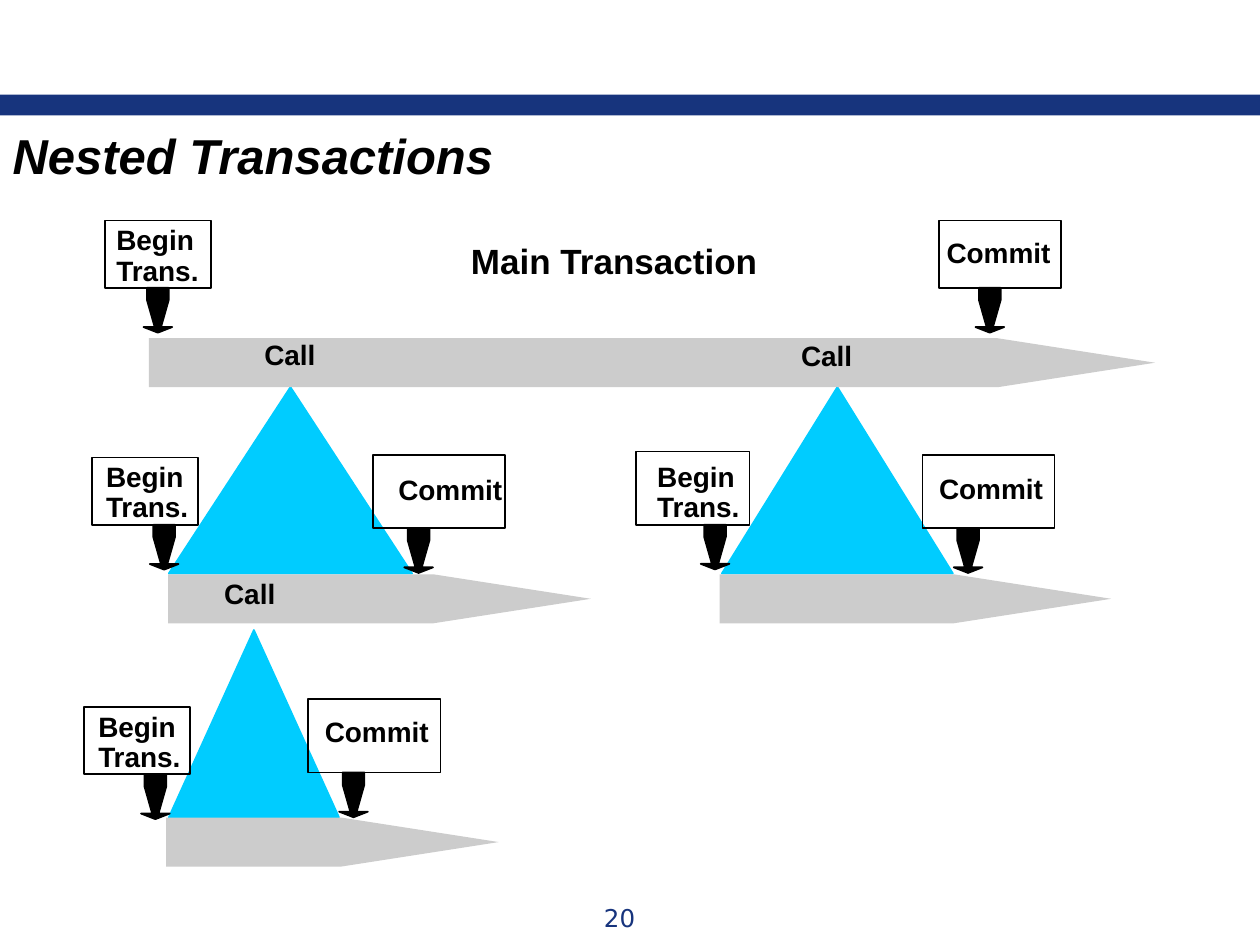
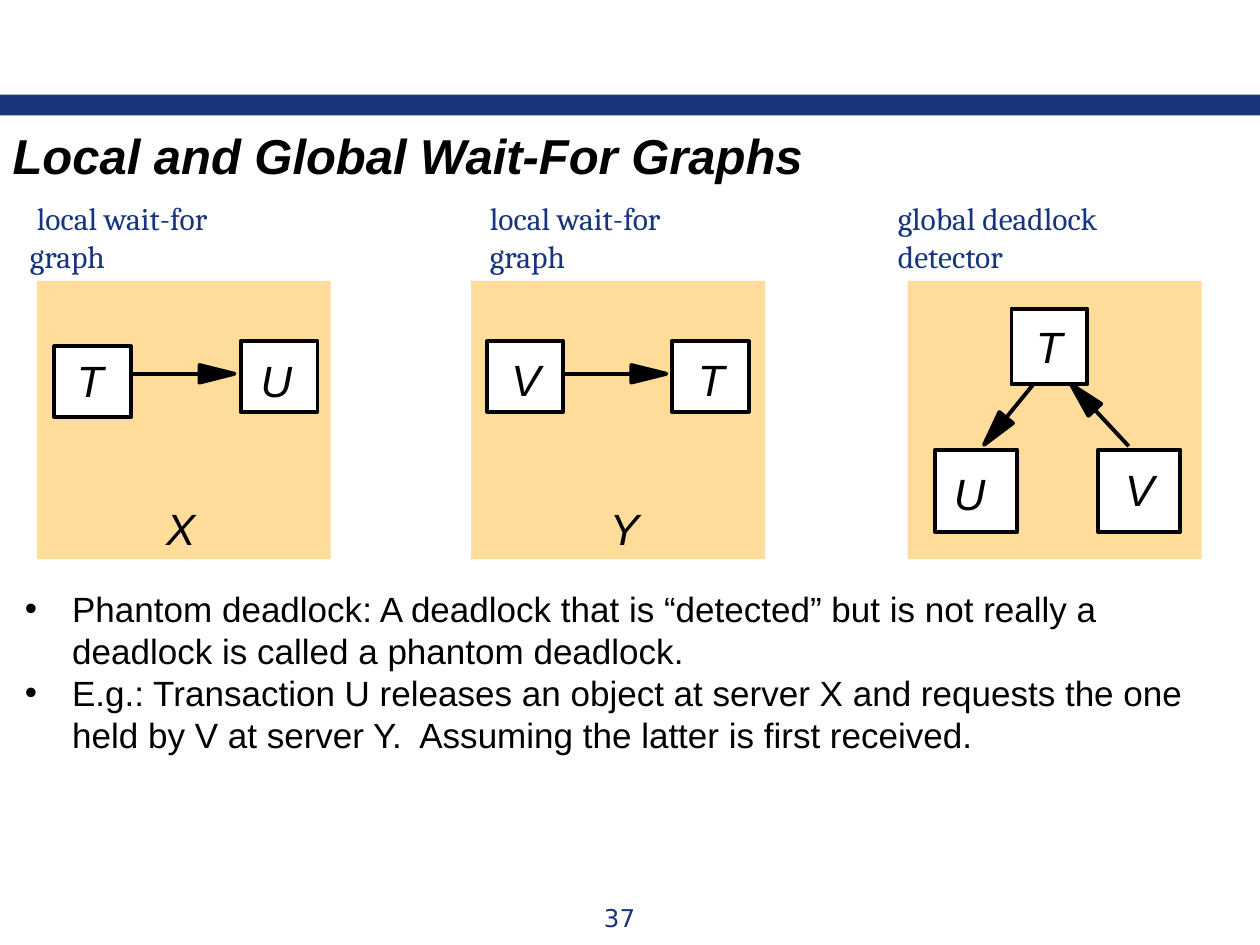
import math
from lxml import etree
from pptx import Presentation
from pptx.dml.color import RGBColor
from pptx.enum.shapes import MSO_CONNECTOR, MSO_SHAPE
from pptx.enum.text import MSO_ANCHOR, MSO_AUTO_SIZE, PP_ALIGN
from pptx.oxml.ns import qn
from pptx.util import Pt

RECTANGLE, TRIANGLE, PENTAGON = MSO_SHAPE.RECTANGLE, MSO_SHAPE.ISOSCELES_TRIANGLE, MSO_SHAPE.PENTAGON
STRAIGHT = MSO_CONNECTOR.STRAIGHT
TOP, MIDDLE = MSO_ANCHOR.TOP, MSO_ANCHOR.MIDDLE
LEFT, CENTER = PP_ALIGN.LEFT, PP_ALIGN.CENTER
FIXED = MSO_AUTO_SIZE.NONE

NAVY, BLACK, WHITE = "17347D", "000000", "FFFFFF"
CYAN, GREY, SAND = "00CCFF", "CCCCCC", "FFDC99"
STYLES = {
    "title": {"name": "Arial", "size": Pt(28), "bold": True, "italic": True, "color": BLACK},
    "number": {"name": "DejaVu Sans", "size": Pt(14), "color": NAVY},
    "heading": {"name": "Arial", "size": Pt(20), "bold": True, "color": BLACK},
    "label": {"name": "Arial", "size": Pt(16), "bold": True, "color": BLACK},
    "node": {"name": "Arial", "size": Pt(25), "italic": True, "color": BLACK},
    "caption": {"name": "Cambria", "size": Pt(18), "color": NAVY},
    "body": {"name": "Arial", "size": Pt(20), "color": BLACK},
}
TEXT_INSETS = (7.2, 3.6)

BAR_HEIGHT, BAR_TIP = 28, 90
BARS = [(85, 193.3, 660), (96, 328.2, 337.6), (411.2, 328.2, 635), (95, 467.2, 285)]
CALL_TRIANGLES = [(96.5, 221.2, 139, 106.5), (412.5, 221.2, 132, 106.5), (96.5, 360, 97.2, 107)]
BEGIN, COMMIT = ["Begin", "Trans."], ["Commit"]
STEPS = [
    (BEGIN, (60, 126, 60.5, 38.5), (6.5, 3.6), 82),
    (COMMIT, (536.5, 126, 70, 38.5), (4.4, 10.8), 557.4),
    (BEGIN, (52.6, 261.4, 60.5, 38.5), (8, 3.6), 85.6),
    (COMMIT, (213.2, 260, 75.5, 41.8), (14.4, 12.2), 231),
    (BEGIN, (363.6, 258, 64.8, 41.8), (12, 6.5), 400.4),
    (COMMIT, (527.2, 260, 75.5, 41.8), (9.4, 11.5), 545),
    (BEGIN, (48.2, 404, 60.5, 38.5), (8, 3.6), 80.6),
    (COMMIT, (176.2, 399.6, 75.5, 41.8), (9.4, 10.8), 193.8),
]
MARKER = [(2, 0), (2, 7), (6.4, 22.4), (0, 22.4), (8.2, 25.6),
          (16.4, 22.4), (10, 22.4), (14.4, 7), (14.4, 0)]
DIAGRAM_LABELS = [
    ("Main Transaction", "heading", (262, 136, 190, 29)),
    ("Call", "label", (144, 191.5, 55, 25)),
    ("Call", "label", (450.7, 192.3, 55, 25)),
    ("Call", "label", (121, 328.3, 55, 25)),
]

PANEL_TOP, PANEL_SIZE = 160.5, (168, 159)
PANEL_LEFTS = [21, 269.2, 518.6]
PANEL_CAPTIONS = [("local wait-for graph", 10, 4), ("local wait-for graph", 272.9, 0),
                  ("global deadlock detector", 506, 0)]
SERVERS = [("X", 95), ("Y", 348.5)]
NODES = [
    ("T", (31, 198, 44, 40.3), (13, 4.3)),
    ("U", (137.5, 195, 44, 40.3), (11.5, 7.2)),
    ("V", (278.5, 195, 43.4, 40.3), (13.7, 6.5)),
    ("T", (383.8, 195, 44, 40.3), (15, 6.5)),
    ("T", (578, 176.4, 43.4, 43.2), (13.9, 6.5)),
    ("U", (534.3, 257, 47, 47), (10.8, 10)),
    ("V", (627.6, 257, 47, 47), (15.3, 7.2)),
]
WAITS = [((74, 213.6), (134, 213.6)), ((321, 213.6), (380.8, 213.6)),
         ((591, 219), (562.3, 254.2)), ((645, 255), (612, 219.6))]
HEAD_LENGTH, HEAD_HALF = 20, 5
POINTS = [
    "Phantom deadlock: A deadlock that is “detected” but is not really a deadlock is called a phantom deadlock.",
    "E.g.: Transaction U releases an object at server X and requests the one held by V at server Y.  "
    "Assuming the latter is first received.",
]


def color(value):
    return RGBColor.from_string(value)


def lengths(values):
    return [Pt(value) for value in values]


def paint(shape, fill=None, line=None, weight=1):
    shape.shadow.inherit = False
    if fill:
        shape.fill.solid()
        shape.fill.fore_color.rgb = color(fill)
    else:
        shape.fill.background()
    if line:
        shape.line.color.rgb = color(line)
        shape.line.width = Pt(weight)
    else:
        shape.line.fill.background()
    return shape


def write(shape, lines, style, insets=TEXT_INSETS, align=LEFT, anchor=TOP, spacing=None):
    frame = shape.text_frame
    horizontal, vertical = lengths(insets)
    settings = {"word_wrap": True, "auto_size": FIXED, "vertical_anchor": anchor,
                "margin_left": horizontal, "margin_right": 0 if align == LEFT else horizontal,
                "margin_top": vertical, "margin_bottom": 0}
    for name, value in settings.items():
        setattr(frame, name, value)
    frame.text = "\n".join(lines)
    for para in frame.paragraphs:
        para.alignment = align
        para.space_before = Pt(0)
        if spacing:
            para.line_spacing = spacing
        for span in para.runs:
            for name, value in STYLES[style].items():
                if name == "color":
                    span.font.color.rgb = color(value)
                else:
                    setattr(span.font, name, value)
    return frame


def indent(para, margin, first):
    properties = para._p.get_or_add_pPr()
    properties.set("marL", str(Pt(margin)))
    properties.set("indent", str(Pt(first)))


def move(shape, place):
    for name, value in zip(("left", "top", "width", "height"), lengths(place)):
        setattr(shape, name, value)


def add_box(page, kind, place, **look):
    return paint(page.shapes.add_shape(kind, *lengths(place)), **look)


def add_text(page, place, lines, style, **layout):
    return write(page.shapes.add_textbox(*lengths(place)), lines, style, **layout)


def add_outline(page, corners, **look):
    first, *rest = [tuple(lengths(corner)) for corner in corners]
    builder = page.shapes.build_freeform(*first)
    builder.add_line_segments(rest, close=True)
    return paint(builder.convert_to_shape(), **look)


def add_wait_arrow(page, start, tip):
    angle = math.atan2(tip[1] - start[1], tip[0] - start[0])
    across, down = math.cos(angle), math.sin(angle)
    base = (tip[0] - HEAD_LENGTH * across, tip[1] - HEAD_LENGTH * down)
    shaft = page.shapes.add_connector(STRAIGHT, *lengths(start + base))
    shaft.line.color.rgb = color(BLACK)
    shaft.line.width = Pt(2.25)
    etree.SubElement(shaft.element.spPr, qn("a:effectLst"))
    wings = [(base[0] - side * down, base[1] + side * across) for side in (HEAD_HALF, -HEAD_HALF)]
    add_outline(page, [tip, *wings], fill=BLACK, line=BLACK, weight=2.25)


def add_page(deck, layout, title, number):
    page = deck.slides.add_slide(deck.slide_layouts[layout])
    move(page.shapes.title, (0, 66.2, 720, 41))
    write(page.shapes.title, [title], "title", anchor=MIDDLE)
    add_text(page, (270, 512.6, 168, 24.5), [number], "number", align=CENTER)
    return page


def add_band(deck, page):
    band = add_box(page, RECTANGLE, (0, 54, 720, 12), fill=NAVY)
    band.element.nvSpPr.cNvPr.set("id", "99")
    deck.slide_master.shapes.element.insert(2, band.element)


def draw_nested_transactions(page):
    for place in CALL_TRIANGLES:
        add_box(page, TRIANGLE, place, fill=CYAN, line=CYAN)
    for left, top, tip in BARS:
        bar = add_box(page, PENTAGON, (left, top, tip - left, BAR_HEIGHT), fill=GREY)
        bar.adjustments[0] = BAR_TIP / BAR_HEIGHT
    for lines, place, insets, marker_left in STEPS:
        step = add_box(page, RECTANGLE, place, line=BLACK)
        write(step, lines, "label", insets=insets, spacing=0.9)
        bottom = place[1] + place[3]
        add_outline(page, [(marker_left + x, bottom + y) for x, y in MARKER], fill=BLACK, line=BLACK)
    for text, style, place in DIAGRAM_LABELS:
        add_text(page, place, [text], style, spacing=0.9)


def draw_wait_for_graphs(page):
    for left in PANEL_LEFTS:
        add_box(page, RECTANGLE, (left, PANEL_TOP, *PANEL_SIZE), fill=SAND)
    for text, left, first in PANEL_CAPTIONS:
        frame = add_text(page, (left, 110.2, 137, 48), [text], "caption")
        indent(frame.paragraphs[0], 0, first)
    for letter, left in SERVERS:
        add_text(page, (left, 287, 25, 30), [letter], "node", insets=(0, 0))
    for letter, place, insets in NODES:
        node = add_box(page, RECTANGLE, place, fill=WHITE, line=BLACK, weight=2.25)
        write(node, [letter], "node", insets=insets)
    for start, tip in WAITS:
        add_wait_arrow(page, start, tip)
    body = page.placeholders[1]
    move(body, (7, 332, 705, 168))
    for para in write(body, POINTS, "body").paragraphs:
        indent(para, 27, -27)


def main():
    deck = Presentation()
    deck.slide_width, deck.slide_height = Pt(720), Pt(540)
    nested = add_page(deck, 5, "Nested Transactions", "20")
    add_band(deck, nested)
    draw_nested_transactions(nested)
    draw_wait_for_graphs(add_page(deck, 1, "Local and Global Wait-For Graphs", "37"))
    deck.save("out.pptx")


if __name__ == "__main__":
    main()
